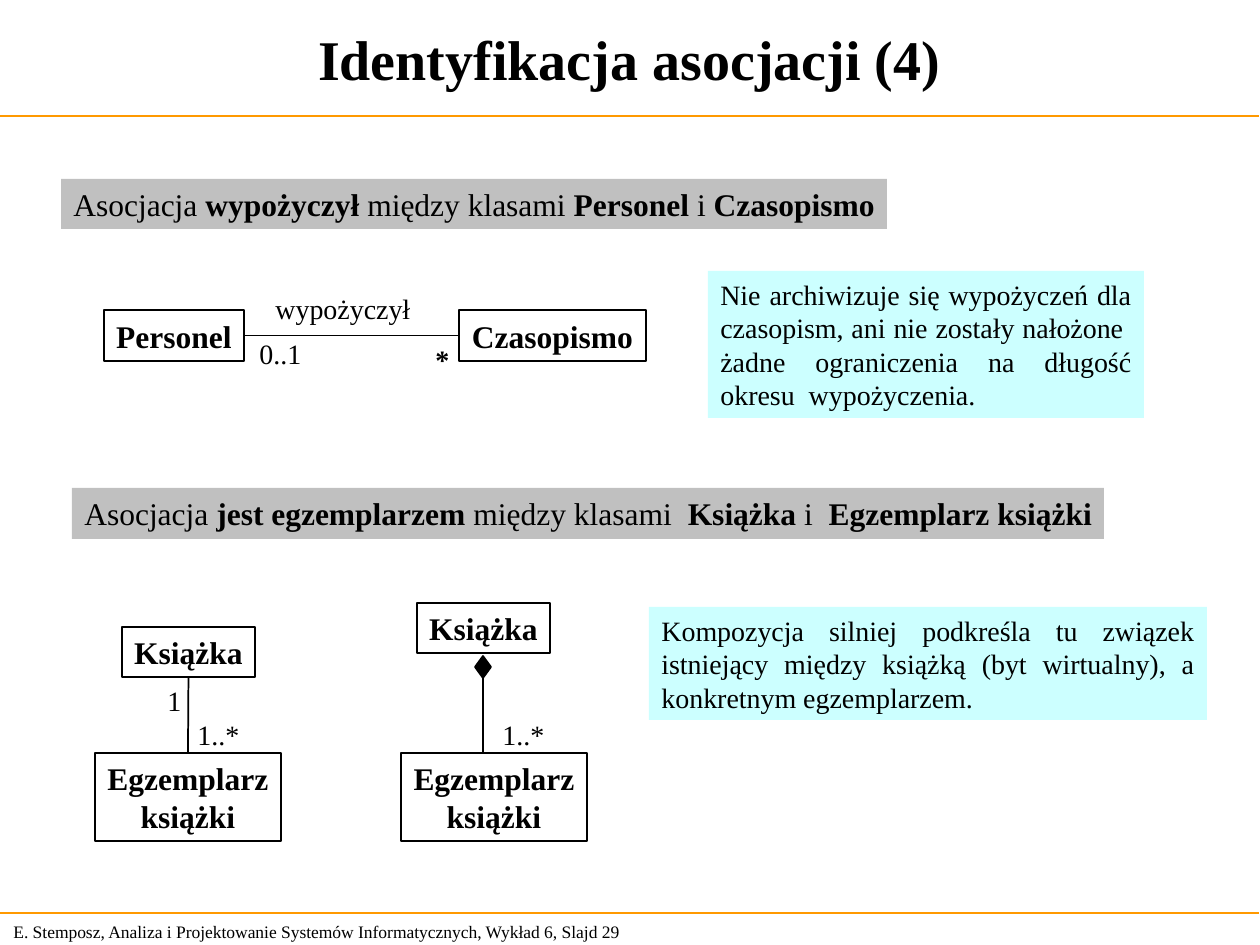
from pptx import Presentation
from pptx.dml.color import RGBColor as Color
from pptx.enum.shapes import MSO_CONNECTOR as Link, MSO_SHAPE as Kind
from pptx.enum.text import MSO_ANCHOR as Anchor, PP_ALIGN as Align
from pptx.util import Pt
from lxml.etree import SubElement

SCALE = 914400 / 126
NS = "{http://schemas.openxmlformats.org/drawingml/2006/main}"
BLACK, GREY, CYAN, ORANGE = "000000", "C0C0C0", "CCFFFF", "FF9900"
TOP, LEFT, BOTTOM, RIGHT = range(4)


def px(*nums):
    """Turn pixel lengths into EMU."""
    return [round(n * SCALE) for n in nums]


def tint(code):
    """Turn a hex string into a colour."""
    return Color.from_string(code)


def style(frame, size, bold=False, align=Align.LEFT, anchor=Anchor.TOP, wrap=False):
    """Format all the text of a frame."""
    frame.word_wrap = wrap
    frame.vertical_anchor = anchor
    for para in frame.paragraphs:
        para.alignment = align
        for run in para.runs:
            font = run.font
            font.name, font.size = "Times New Roman", Pt(size)
            font.bold, font.color.rgb = bold, tint(BLACK)


def label(slide, box, text, size=16, **look):
    """Add a text box."""
    frame = slide.shapes.add_textbox(*px(*box)).text_frame
    frame.text = text
    style(frame, size, **look)


def block(slide, box, fill=None, line=None, kind=Kind.RECTANGLE):
    """Add a flat shape."""
    shape = slide.shapes.add_shape(kind, *px(*box))
    shape.shadow.inherit = False
    if fill:
        shape.fill.solid()
        shape.fill.fore_color.rgb = tint(fill)
    else:
        shape.fill.background()
    if line:
        shape.line.color.rgb = tint(line)
        shape.line.width = Pt(1)
    else:
        shape.line.fill.background()
    return shape


def node(slide, box, text):
    """Add a class box."""
    shape = block(slide, box, line=BLACK)
    shape.text_frame.text = text
    style(shape.text_frame, 18, True, Align.CENTER, Anchor.MIDDLE)
    return shape


def band(slide, box, parts):
    """Add a grey heading whose every second part is bold."""
    frame = block(slide, box, GREY).text_frame
    para = frame.paragraphs[0]
    for part in parts:
        para.add_run().text = part
    style(frame, 18)
    for run in para.runs[1::2]:
        run.font.bold = True


def note(slide, box, text):
    """Add a justified comment."""
    frame = block(slide, box, CYAN).text_frame
    frame.text = text
    style(frame, 16, align=Align.JUSTIFY, wrap=True)


def wire(slide, ends, color=BLACK, width=1.0, start=None, stop=None):
    """Add a line, joined to shapes where they are given."""
    line = slide.shapes.add_connector(Link.STRAIGHT, *px(*ends))
    line.line.color.rgb = tint(color)
    line.line.width = Pt(width)
    SubElement(line._element.spPr, NS + "effectLst")
    if start:
        line.begin_connect(*start)
    if stop:
        line.end_connect(*stop)


def frame_page(slide):
    """Add the title, rules and footer."""
    label(slide, (0, 0, 1259, 116), "Identyfikacja asocjacji (4)", 32, bold=True,
          align=Align.CENTER, anchor=Anchor.MIDDLE, wrap=True)
    for y in (116, 913):
        wire(slide, (0, y, 1259, y), ORANGE, 0.75)
    label(slide, (1, 914, 660, 34), "E. Stemposz, Analiza i Projektowanie Systemów "
          "Informatycznych, Wykład 6, Slajd 29", 10, anchor=Anchor.MIDDLE, wrap=True)


def loan(slide):
    """Draw the association between staff and journal."""
    band(slide, (61, 179, 826, 50), ["Asocjacja ", "wypożyczył", " między klasami ",
                                     "Personel", " i ", "Czasopismo"])
    staff = node(slide, (104, 310, 140, 51), "Personel")
    paper = node(slide, (459, 310, 187, 51), "Czasopismo")
    wire(slide, (244, 336, 459, 336), start=(staff, RIGHT), stop=(paper, LEFT))
    label(slide, (263, 285, 160, 47), "wypożyczył")
    label(slide, (247, 330, 67, 47), "0..1")
    label(slide, (423, 336, 39, 47), "*", bold=True)
    note(slide, (708, 271, 436, 147), "Nie archiwizuje się wypożyczeń dla czasopism, "
         "ani nie zostały nałożone  żadne ograniczenia na długość okresu  wypożyczenia.")


def copies(slide):
    """Draw the two links between book and copy."""
    band(slide, (72, 488, 1032, 51), ["Asocjacja ", "jest egzemplarzem ", "między klasami  ",
                                      "Książka ", "i  ", "Egzemplarz książki"])
    book = node(slide, (122, 627, 133, 50), "Książka")
    node(slide, (417, 603, 133, 50), "Książka")
    item, _ = [node(slide, (x, 753, 186, 88), "Egzemplarz\nksiążki") for x in (95, 401)]
    for x in (185, 490):
        label(slide, (x, 711, 67, 47), "1..*")
    label(slide, (155, 677, 39, 47), "1")
    wire(slide, (188, 677, 188, 753), start=(book, BOTTOM), stop=(item, TOP))
    gem = block(slide, (475, 656, 16, 22), BLACK, BLACK, Kind.DIAMOND)
    wire(slide, (483, 678, 483, 752), start=(gem, BOTTOM))
    note(slide, (649, 607, 558, 113), "Kompozycja silniej podkreśla tu związek istniejący "
         "między książką (byt wirtualny), a konkretnym egzemplarzem.")


def main():
    """Build and save the slide."""
    deck = Presentation()
    deck.slide_width, deck.slide_height = px(1260, 945)
    slide = deck.slides.add_slide(deck.slide_layouts[6])
    frame_page(slide)
    loan(slide)
    copies(slide)
    deck.save("out.pptx")


if __name__ == "__main__":
    main()
